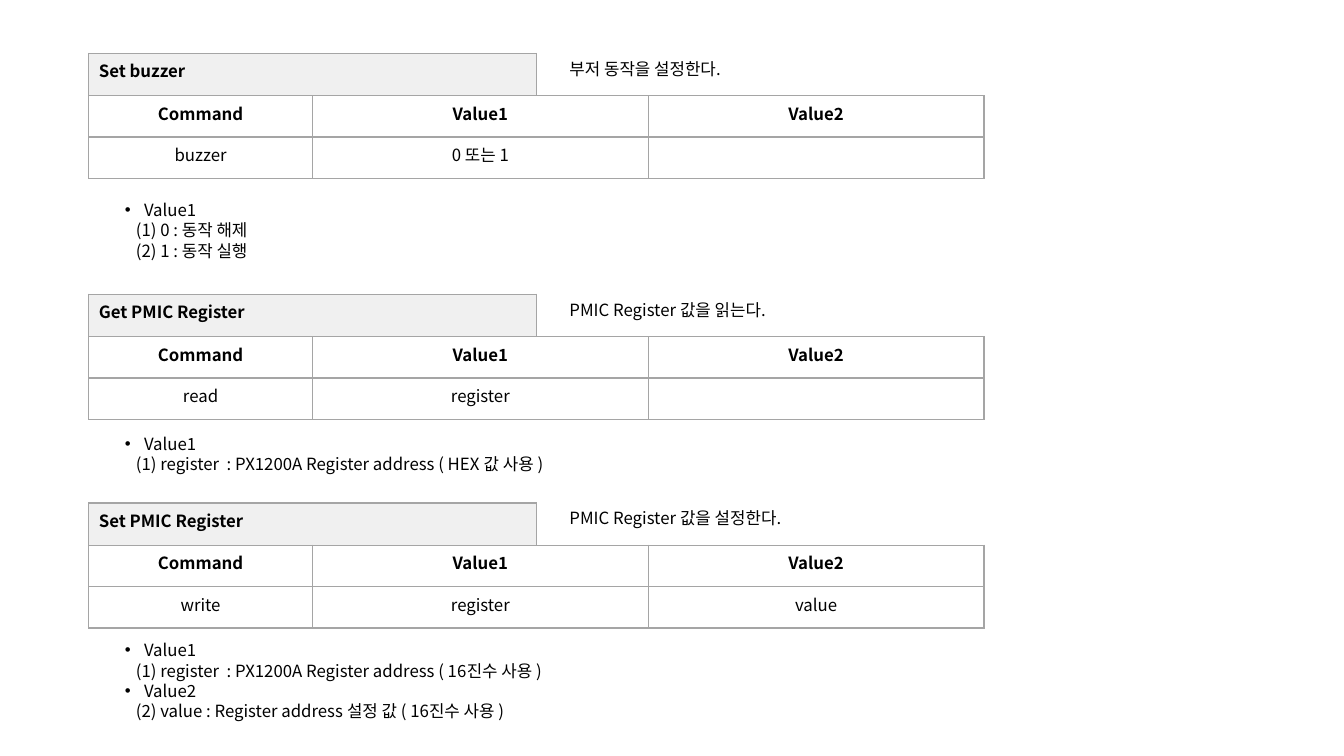
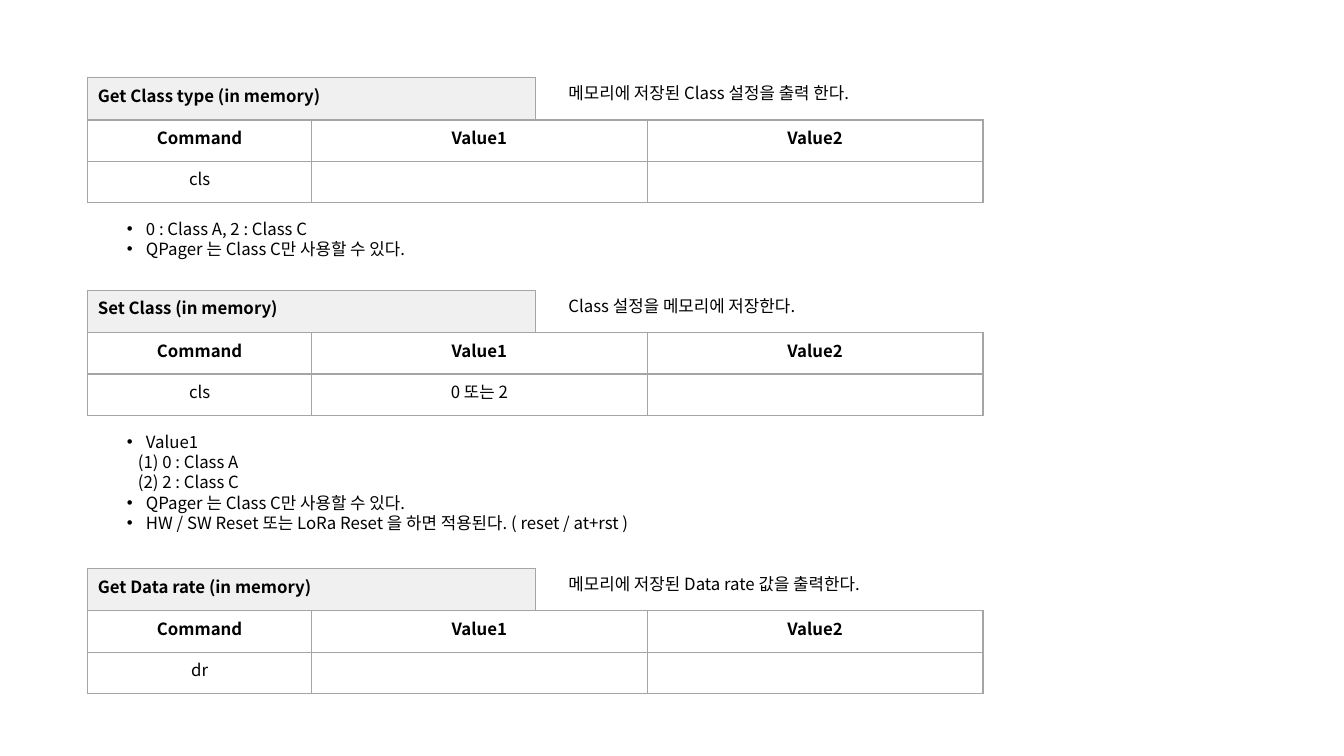
import pptx
import pptx.util
import pptx.dml.color
import pptx.enum.text
import pptx.oxml
import pptx.oxml.ns
from pptx.util import Inches

COLORS = {"text": "000000", "heading": "F0F0F0", "border": "A5A5A5"}
FONT = "Noto Sans CJK KR"
SIZE = 12
HEADING_HEIGHT, ROW_HEIGHT, LINE_HEIGHT = 0.42, 0.41, 0.2
COLUMNS = [2.22, 3.33, 3.33]
HEADERS = ["Command", "Value1", "Value2"]
CENTER = pptx.enum.text.PP_ALIGN.CENTER
LEFT = pptx.enum.text.PP_ALIGN.LEFT


def rgb(name):
    return pptx.dml.color.RGBColor.from_string(COLORS[name])


class CommandDeck:
    def __init__(self):
        self.deck = pptx.Presentation()
        self.deck.slide_width = Inches(13.33)
        self.deck.slide_height = Inches(7.5)
        self.slide = None

    def add_slide(self):
        self.slide = self.deck.slides.add_slide(self.deck.slide_layouts[6])

    def styled_run(self, paragraph, text, bold=False):
        run = paragraph.add_run()
        run.text = text
        style = {"name": FONT, "size": pptx.util.Pt(SIZE), "bold": bold}
        for attribute, value in style.items():
            setattr(run.font, attribute, value)
        run.font.color.rgb = rgb("text")
        # Hangul takes the East Asian typeface
        latin = run.font._element.find(pptx.oxml.ns.qn("a:latin"))
        latin.addnext(latin.makeelement(pptx.oxml.ns.qn("a:ea"), {"typeface": FONT}))

    def border(self, cell):
        properties = cell._tc.get_or_add_tcPr()
        for side in ("lnL", "lnR", "lnT", "lnB"):
            properties.append(pptx.oxml.parse_xml(
                f'<a:{side} {pptx.oxml.ns.nsdecls("a")} w="12700"><a:solidFill>'
                f'<a:srgbClr val="{COLORS["border"]}"/></a:solidFill></a:{side}>'))

    def table(self, left, top, widths, height, rows, align, fill=None):
        """The first row is bold; every row has the same height."""
        table = self.slide.shapes.add_table(
            len(rows), len(widths), Inches(left), Inches(top),
            Inches(sum(widths)), Inches(height * len(rows))).table
        table.first_row = table.horz_banding = False
        for column, width in zip(table.columns, widths):
            column.width = Inches(width)
        for r, values in enumerate(rows):
            table.rows[r].height = Inches(height)
            for c, value in enumerate(values):
                cell = table.cell(r, c)
                self.border(cell)
                if fill:
                    cell.fill.solid()
                    cell.fill.fore_color.rgb = rgb(fill)
                else:
                    cell.fill.background()
                paragraph = cell.text_frame.paragraphs[0]
                paragraph.alignment = align
                if value:
                    self.styled_run(paragraph, value, bold=r == 0)
                else:
                    # Keeps an empty cell from growing past its row
                    paragraph._p.get_or_add_endParaRPr().set("sz", str(SIZE * 100))

    def text(self, left, top, width, lines):
        """Lines that start with a bullet hang; numbered ones are indented."""
        box = self.slide.shapes.add_textbox(
            Inches(left), Inches(top), Inches(width),
            Inches(LINE_HEIGHT * len(lines) + 0.1))
        frame = box.text_frame
        frame.word_wrap = True
        for i, line in enumerate(lines):
            paragraph = frame.add_paragraph() if i else frame.paragraphs[0]
            paragraph.line_spacing = pptx.util.Pt(14.5)
            properties = paragraph._p.get_or_add_pPr()
            if line.startswith("• "):
                properties.set("marL", str(Inches(0.19)))
                properties.set("indent", str(-Inches(0.19)))
                for bullet in ('buFont {} typeface="Arial"', 'buChar {} char="•"'):
                    properties.append(pptx.oxml.parse_xml(
                        f'<a:{bullet.format(pptx.oxml.ns.nsdecls("a"))}/>'))
            elif line.startswith("("):
                properties.set("marL", str(Inches(0.11)))
            self.styled_run(paragraph, line.removeprefix("• "))

    def command(self, left, top, title, description, values):
        self.table(left, top, [4.44], HEADING_HEIGHT, [[title]], LEFT, "heading")
        self.text(left + 4.67, top, 3.4, [description])
        self.table(left, top + HEADING_HEIGHT, COLUMNS, ROW_HEIGHT,
                   [HEADERS, values], CENTER)


# Each slide: left edge, notes left edge, then its commands as
# (top, title, description, values, notes top, notes)
SLIDES = [
    (0.88, 1.14, [
        (0.53, "Set buzzer", "부저 동작을 설정한다.", ["buzzer", "0 또는 1", ""],
         1.93, ["• Value1", "(1) 0 : 동작 해제", "(2) 1 : 동작 실행"]),
        (2.92, "Get PMIC Register", "PMIC Register 값을 읽는다.",
         ["read", "register", ""],
         4.25, ["• Value1",
                "(1) register  : PX1200A Register address ( HEX 값 사용 )"]),
        (4.99, "Set PMIC Register", "PMIC Register 값을 설정한다.",
         ["write", "register", "value"],
         6.3, ["• Value1",
               "(1) register  : PX1200A Register address ( 16진수 사용 )",
               "• Value2",
               "(2) value : Register address 설정 값 ( 16진수 사용 )"]),
    ]),
    (0.87, 1.16, [
        (0.77, "Get Class type (in memory)",
         "메모리에 저장된 Class 설정을 출력 한다.", ["cls", "", ""],
         2.12, ["• 0 : Class A, 2 : Class C",
                "• QPager 는 Class C만 사용할 수 있다."]),
        (2.88, "Set Class (in memory)", "Class 설정을 메모리에 저장한다.",
         ["cls", "0 또는 2", ""],
         4.23, ["• Value1", "(1) 0 : Class A", "(2) 2 : Class C",
                "• QPager 는 Class C만 사용할 수 있다.",
                "• HW / SW Reset 또는 LoRa Reset 을 하면 적용된다. ( reset / at+rst )"]),
        (5.64, "Get Data rate (in memory)",
         "메모리에 저장된 Data rate 값을 출력한다.", ["dr", "", ""], None, []),
    ]),
]

manual = CommandDeck()
for left, notes_left, commands in SLIDES:
    manual.add_slide()
    for top, title, description, values, notes_top, notes in commands:
        manual.command(left, top, title, description, values)
        if notes:
            manual.text(notes_left, notes_top, 5.56, notes)

manual.deck.save("out.pptx")
